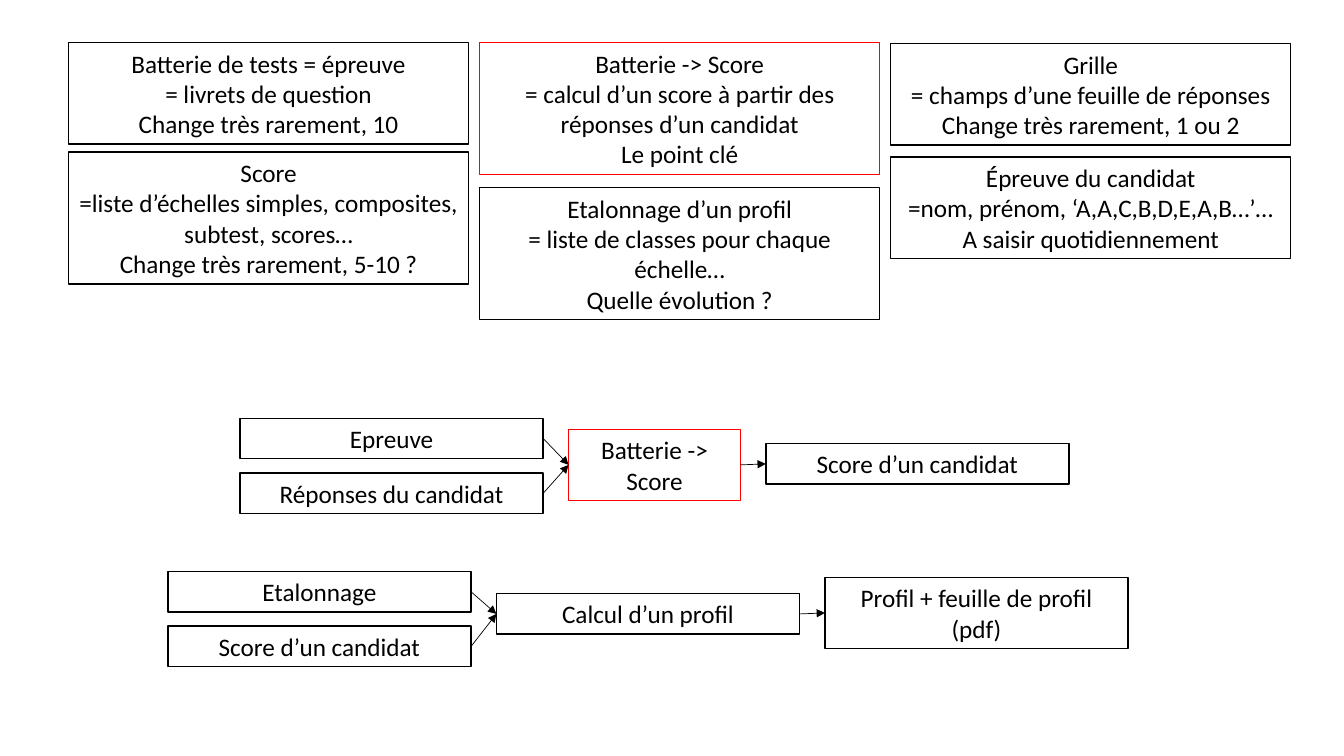
from lxml.etree import SubElement
from pptx import Presentation
from pptx.dml.color import RGBColor
from pptx.enum.shapes import MSO_CONNECTOR, MSO_SHAPE
from pptx.enum.text import MSO_ANCHOR, MSO_AUTO_SIZE, PP_ALIGN
from pptx.oxml.ns import qn
from pptx.util import Cm, Pt

BLACK = RGBColor(0, 0, 0)
WHITE = RGBColor(255, 255, 255)
RED = RGBColor(255, 0, 0)

FRAME_FORMAT = {
    "word_wrap": True,
    "auto_size": MSO_AUTO_SIZE.SHAPE_TO_FIT_TEXT,
    "vertical_anchor": MSO_ANCHOR.MIDDLE,
}
FONT_FORMAT = {"name": "Calibri", "size": Pt(18)}

COLUMN_WIDTH = 10.08
STEP_WIDTH = 7.64
STEP_GAP = 0.64
INPUT_PITCH = 1.38
TOP, LEFT, BOTTOM, RIGHT = range(4)

# Each column: top, gap between its boxes, boxes (text, shown lines, outline)
COLUMNS = [
    (1.07, 0.2, [
        ("Batterie de tests = épreuve\n= livrets de question\n"
         "Change très rarement, 10", 3, BLACK),
        ("Score\n=liste d’échelles simples, composites, subtest, scores…\n"
         "Change très rarement, 5-10 ?", 4, BLACK),
    ]),
    (1.07, 0.33, [
        ("Batterie -> Score\n= calcul d’un score à partir des réponses d’un candidat\n"
         "Le point clé", 4, RED),
        ("Etalonnage d’un profil\n= liste de classes pour chaque échelle…\n"
         "Quelle évolution ?", 4, BLACK),
    ]),
    (1.1, 0.3, [
        ("Grille\n= champs d’une feuille de réponses\n"
         "Change très rarement, 1 ou 2", 3, BLACK),
        ("Épreuve du candidat\n=nom, prénom, ‘A,A,C,B,D,E,A,B…’…\n"
         "A saisir quotidiennement", 3, BLACK),
    ]),
]


def height_for(line_count):
    return 0.25 + 0.77 * line_count


def set_format(target, values):
    for name, value in values.items():
        setattr(target, name, value)


def add_box(slide, left, top, width, text, line_count=1, outline=BLACK):
    shape = slide.shapes.add_shape(MSO_SHAPE.RECTANGLE, Cm(left), Cm(top),
                                   Cm(width), Cm(height_for(line_count)))
    shape.shadow.inherit = False
    shape.fill.solid()
    shape.fill.fore_color.rgb = WHITE
    shape.line.color.rgb = outline
    shape.line.width = Pt(1)
    frame = shape.text_frame
    frame.text = text
    set_format(frame, FRAME_FORMAT)
    for paragraph in frame.paragraphs:
        paragraph.alignment = PP_ALIGN.CENTER
        set_format(paragraph.runs[0].font, FONT_FORMAT)
        paragraph.runs[0].font.color.rgb = BLACK
    return shape


def add_arrow(slide, source, target):
    """Join the right side of source to the left side of target."""
    connector = slide.shapes.add_connector(MSO_CONNECTOR.STRAIGHT, 0, 0, 0, 0)
    connector.begin_connect(source, RIGHT)
    connector.end_connect(target, LEFT)
    connector.line.color.rgb = BLACK
    connector.line.width = Pt(0.5)
    SubElement(connector.line._get_or_add_ln(), qn("a:tailEnd"), type="triangle")
    SubElement(connector._element.spPr, qn("a:effectLst"))


def add_column(slide, left, top, width, gap, boxes):
    for text, line_count, outline in boxes:
        add_box(slide, left, top, width, text, line_count, outline)
        top += height_for(line_count) + gap


def add_flow(slide, left, top, inputs, process, result):
    """Draw stacked inputs, then a process and its result.

    process and result are dicts: drop (below top), width and box values.
    """
    sources = [add_box(slide, left, top + index * INPUT_PITCH, STEP_WIDTH, text)
               for index, text in enumerate(inputs)]
    left += STEP_WIDTH + STEP_GAP
    for step in (process, result):
        values = {"width": STEP_WIDTH, **step}
        drop = values.pop("drop")
        box = add_box(slide, left, top + drop, **values)
        for source in sources:
            add_arrow(slide, source, box)
        sources = [box]
        left += values["width"] + STEP_GAP


def main():
    presentation = Presentation()
    presentation.slide_width = Cm(33.87)
    presentation.slide_height = Cm(19.05)
    slide = presentation.slides.add_slide(presentation.slide_layouts[6])

    for index, (top, gap, boxes) in enumerate(COLUMNS):
        add_column(slide, 1.73 + index * 10.36, top, COLUMN_WIDTH, gap, boxes)

    add_flow(slide, 6.05, 10.54, ["Epreuve", "Réponses du candidat"],
             {"drop": 0.28, "width": 4.33, "text": "Batterie -> Score",
              "line_count": 2, "outline": RED},
             {"drop": 0.64, "text": "Score d’un candidat"})
    add_flow(slide, 4.23, 14.4, ["Etalonnage", "Score d’un candidat"],
             {"drop": 0.56, "text": "Calcul d’un profil"},
             {"drop": 0.15, "text": "Profil + feuille de profil (pdf)",
              "line_count": 2})

    presentation.save("out.pptx")


if __name__ == "__main__":
    main()
